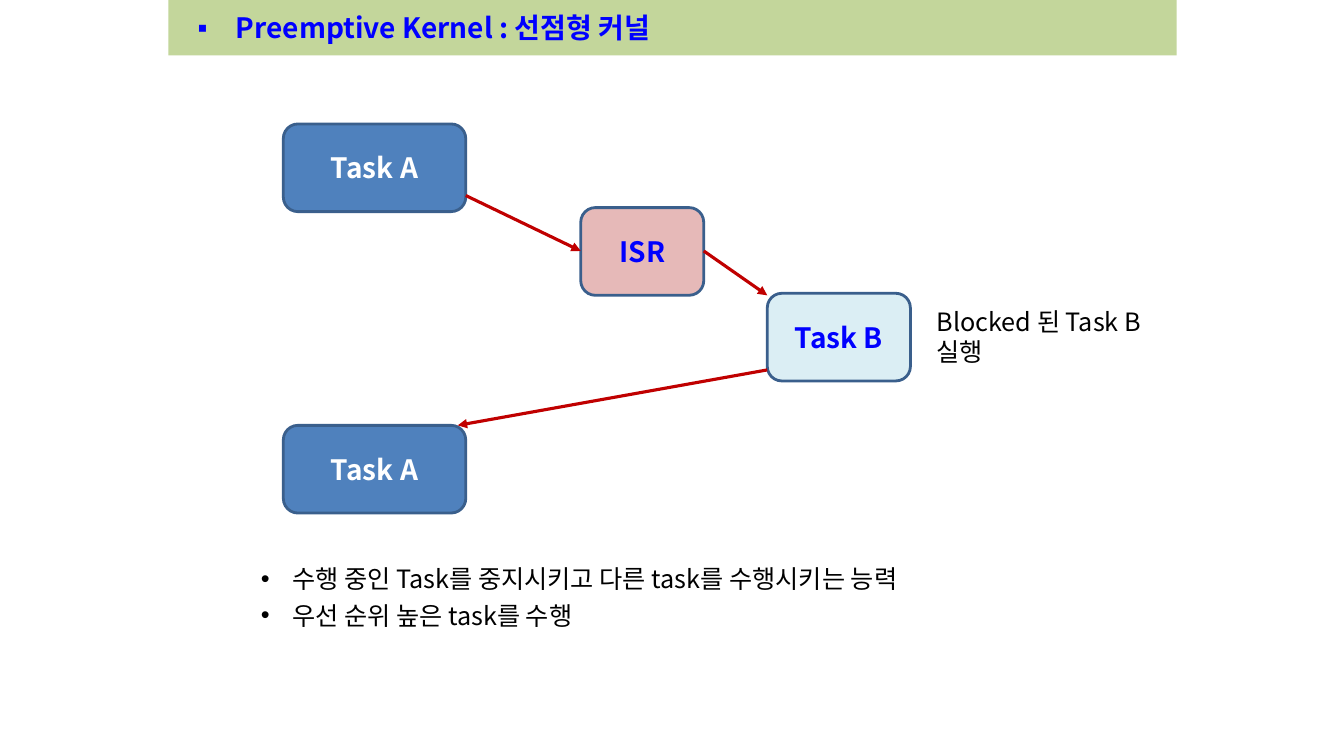
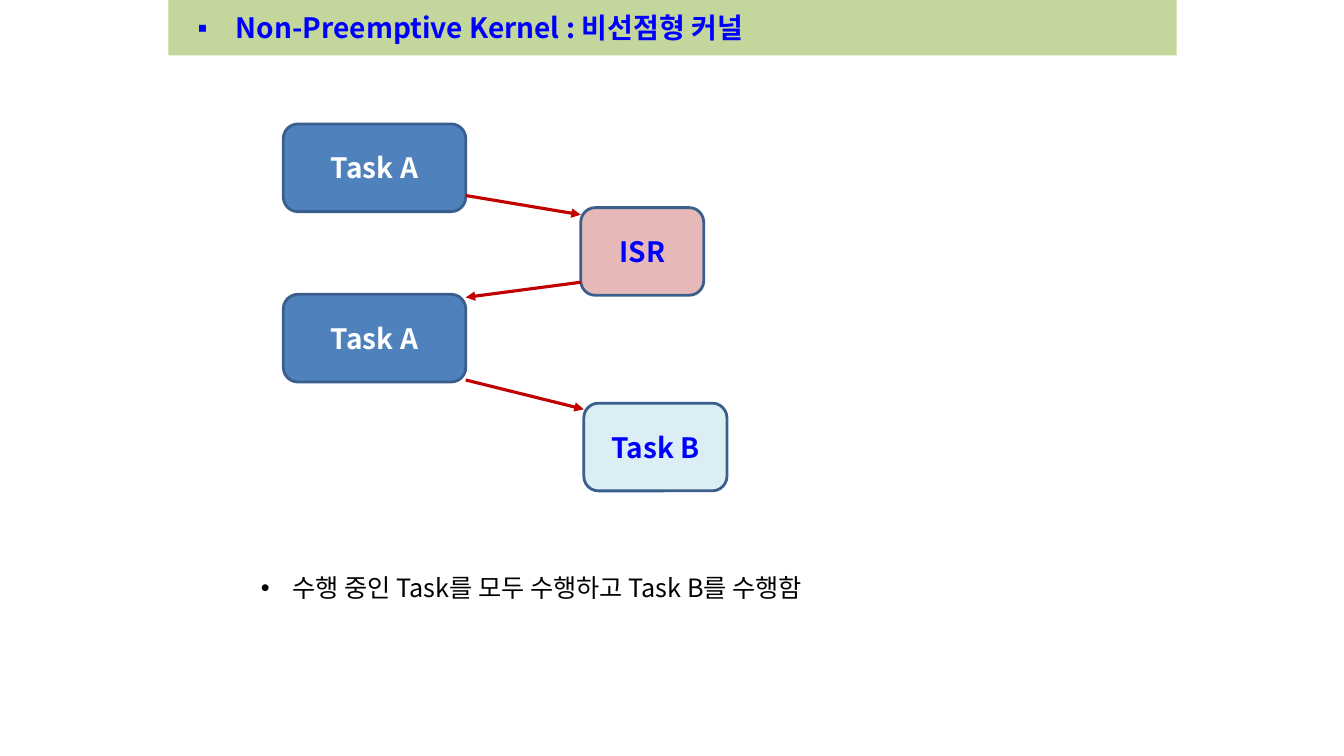
from dataclasses import dataclass

from lxml.etree import SubElement
from pptx import Presentation
from pptx.dml.color import RGBColor
from pptx.enum.shapes import MSO_CONNECTOR as Connector, MSO_SHAPE as Preset
from pptx.enum.text import MSO_ANCHOR as Anchor, MSO_AUTO_SIZE as AutoSize, PP_ALIGN as Align
from pptx.oxml.ns import qn
from pptx.util import Inches, Pt


@dataclass(frozen=True)
class Theme:
    """Colours, type sizes and line widths of the deck."""
    font: str = "Noto Sans CJK KR"
    band: str = "C3D69B"
    accent: str = "0000FF"
    ink: str = "000000"
    light: str = "FFFFFF"
    running: str = "4F81BD"
    interrupt: str = "E6B9B8"
    waiting: str = "DBEEF4"
    outline: str = "3A5F8C"
    arrow: str = "C00000"
    heading_size: int = 20
    body_size: int = 18
    body_leading: int = 26
    outline_width: float = 2
    arrow_width: float = 2.25


THEME = Theme()
BLOCK_HEIGHT = 0.87
BLOCKS = {
    "Task A": (1.81, THEME.running, THEME.light),
    "ISR": (1.22, THEME.interrupt, THEME.accent),
    "Task B": (1.42, THEME.waiting, THEME.accent),
}


def write_text(frame, text, *, size, color, bold=False, align=Align.LEFT,
               bullet=None, indent=(0, 0), leading=None):
    """Write each line of text as one formatted paragraph."""
    for index, line in enumerate(text.split("\n")):
        para = frame.add_paragraph() if index else frame.paragraphs[0]
        para.alignment = align
        if bullet:
            properties = para._p.get_or_add_pPr()
            margin, first = indent
            properties.set("marL", str(Inches(margin)))
            properties.set("indent", str(Inches(first)))
            SubElement(properties, qn("a:buFont"), typeface="Arial")
            SubElement(properties, qn("a:buChar"), char=bullet)
        if leading:
            para.line_spacing = Pt(leading)
        span = para.add_run()
        span.text = line
        span.font.size = Pt(size)
        span.font.bold = bold
        span.font.color.rgb = RGBColor.from_string(color)
        span.font.name = THEME.font
        SubElement(span._r.get_or_add_rPr(), qn("a:ea"), typeface=THEME.font)


class KernelDeck:
    """Builds pages of task diagrams in one shared style."""

    def __init__(self):
        self.deck = Presentation()
        self.deck.slide_width = Inches(13.33)
        self.deck.slide_height = Inches(7.5)
        self.page = None

    def add_page(self, title):
        self.page = self.deck.slides.add_slide(self.deck.slide_layouts.get_by_name("Title Only"))
        band = self.page.shapes.title
        band.left, band.top, band.width, band.height = map(Inches, (1.67, 0, 10, 0.55))
        band.fill.solid()
        band.fill.fore_color.rgb = RGBColor.from_string(THEME.band)
        frame = band.text_frame
        frame.auto_size = AutoSize.NONE
        frame.vertical_anchor = Anchor.MIDDLE
        write_text(frame, title, size=THEME.heading_size, color=THEME.accent, bold=True,
                   bullet="▪", indent=(0.57, -0.38))

    def add_block(self, label, left, top):
        width, fill, color = BLOCKS[label]
        box = self.page.shapes.add_shape(Preset.ROUNDED_RECTANGLE, Inches(left), Inches(top),
                                         Inches(width), Inches(BLOCK_HEIGHT))
        box.shadow.inherit = False
        box.fill.solid()
        box.fill.fore_color.rgb = RGBColor.from_string(fill)
        box.line.color.rgb = RGBColor.from_string(THEME.outline)
        box.line.width = Pt(THEME.outline_width)
        box.text_frame.vertical_anchor = Anchor.MIDDLE
        write_text(box.text_frame, label, size=THEME.heading_size, color=color,
                   bold=True, align=Align.CENTER)

    def add_arrow(self, start, end):
        arrow = self.page.shapes.add_connector(Connector.STRAIGHT, *map(Inches, start + end))
        arrow.line.color.rgb = RGBColor.from_string(THEME.arrow)
        arrow.line.width = Pt(THEME.arrow_width)
        SubElement(arrow.line._get_or_add_ln(), qn("a:tailEnd"), type="triangle")
        SubElement(arrow._element.spPr, qn("a:effectLst"))

    def add_text(self, text, left, top, width, height, *, wrap=True, **style):
        box = self.page.shapes.add_textbox(*map(Inches, (left, top, width, height)))
        box.text_frame.word_wrap = wrap
        box.text_frame.auto_size = AutoSize.SHAPE_TO_FIT_TEXT
        write_text(box.text_frame, text, size=THEME.body_size, color=THEME.ink, **style)

    def add_bullets(self, text, top, width, height):
        self.add_text(text, 2.49, top, width, height, wrap=False, bullet="•",
                      indent=(0.31, -0.31), leading=THEME.body_leading)

    def add_flow(self, blocks, arrows):
        for label, left, top in blocks:
            self.add_block(label, left, top)
        for start, end in arrows:
            self.add_arrow(start, end)


def main():
    kernel = KernelDeck()
    task_left, isr_left = 2.81, 5.76
    task_right = task_left + BLOCKS["Task A"][0]
    isr_right = isr_left + BLOCKS["ISR"][0]
    opening = [("Task A", task_left, 1.23), ("ISR", isr_left, 2.06)]
    departure = (task_right, 1.94)

    kernel.add_page("Preemptive Kernel : 선점형 커널")
    kernel.add_bullets("수행 중인 Task를 중지시키고 다른 task를 수행시키는 능력\n우선 순위 높은 task를 수행",
                       5.48, 7.12, 0.83)
    kernel.add_flow(
        opening + [("Task A", task_left, 4.22), ("Task B", 7.61, 2.91)],
        [(departure, (isr_left, 2.49)),
         ((isr_right, 2.49), (7.61, 2.93)),
         ((7.61, 3.67), (4.54, 4.22))])
    kernel.add_text("Blocked 된 Task B\n실행", 9.19, 2.99, 2.28, 0.71)

    kernel.add_page("Non-Preemptive Kernel : 비선점형 커널")
    kernel.add_bullets("수행 중인 Task를 모두 수행하고 Task B를 수행함", 5.57, 6.03, 0.47)
    kernel.add_flow(
        opening + [("Task A", task_left, 2.92), ("Task B", 5.79, 4)],
        [(departure, (isr_left, 2.13)),
         ((isr_left, 2.8), (task_right, 2.95)),
         ((task_right, 3.77), (5.79, 4.06))])

    kernel.deck.save("out.pptx")


if __name__ == "__main__":
    main()
